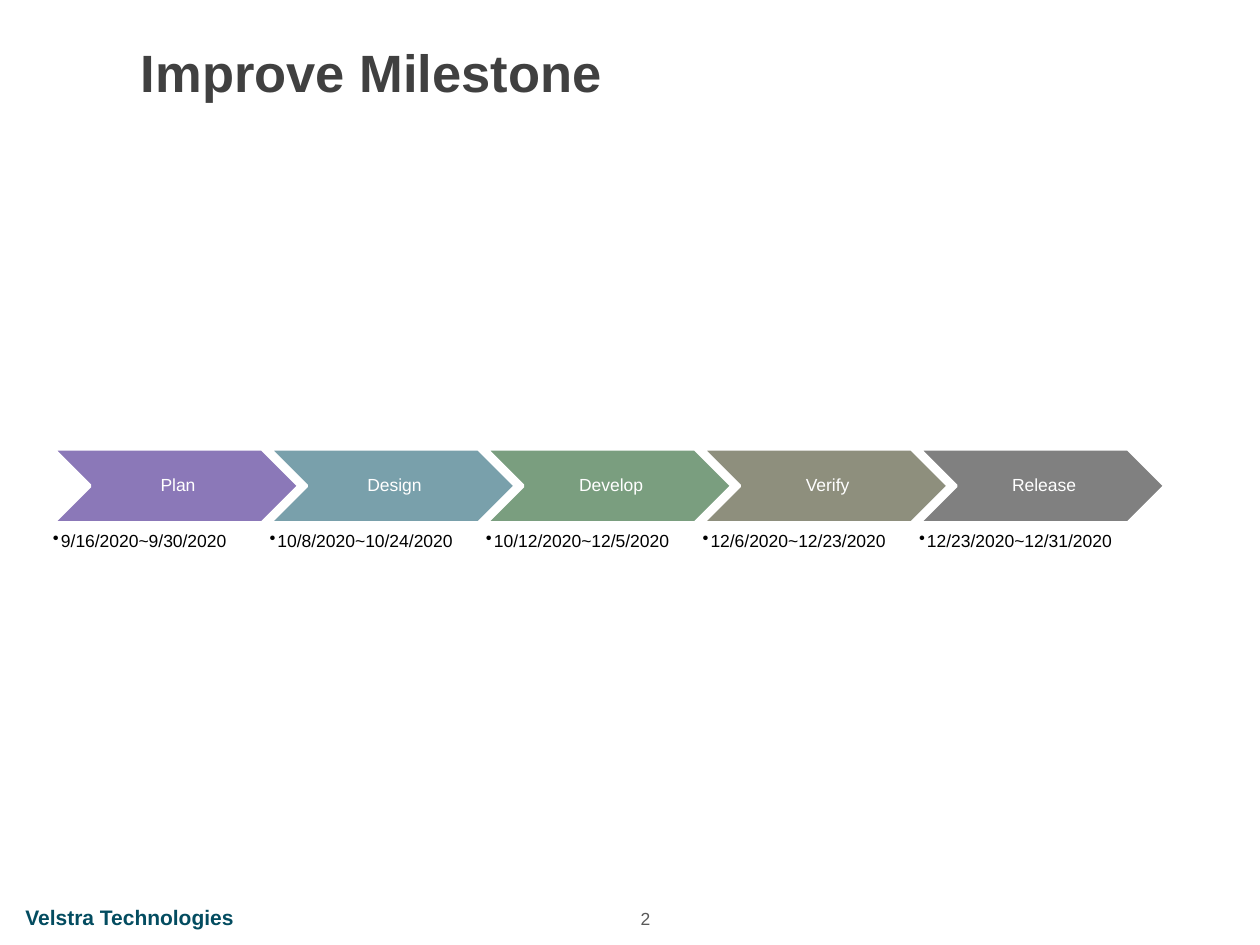
import pptx
import pptx.util
import pptx.dml.color
import pptx.enum.shapes
import pptx.enum.text
import pptx.oxml.ns
import lxml.etree

PX = 914400 / 126

THEME = {
    "font": "Arial",
    "title": (30, "404040", True),
    "footer": (12, "034C60", True),
    "number": (10, "595959", False),
    "phase": (10, "FFFFFF", False),
    "dates": (10, "000000", False),
    "outline": "FFFFFF",
}

PHASES = [
    ("Plan", "9/16/2020~9/30/2020", "8B78B8"),
    ("Design", "10/8/2020~10/24/2020", "79A0AB"),
    ("Develop", "10/12/2020~12/5/2020", "7A9E7F"),
    ("Verify", "12/6/2020~12/23/2020", "8E8F7D"),
    ("Release", "12/23/2020~12/31/2020", "808080"),
]
FIRST_LEFT, LAST_LEFT = 53, 919
ALIGN = pptx.enum.text.PP_ALIGN


def px(value):
    return pptx.util.Emu(round(value * PX))


def write(shape, text, style, align=ALIGN.LEFT, margins=None, wrap=True):
    """Fill a shape with one styled paragraph; margins are left, top, right, bottom."""
    size, color, bold = THEME[style]
    frame = shape.text_frame
    frame.text = text
    frame.word_wrap = wrap
    if margins:
        (frame.margin_left, frame.margin_top,
         frame.margin_right, frame.margin_bottom) = map(px, margins)
    paragraph = frame.paragraphs[0]
    paragraph.alignment = align
    font = paragraph.runs[0].font
    font.name = THEME["font"]
    font.size = pptx.util.Pt(size)
    font.bold = bold
    font.color.rgb = pptx.dml.color.RGBColor.from_string(color)
    return paragraph


presentation = pptx.Presentation()
presentation.slide_width = px(1260)
presentation.slide_height = px(945)
slide = presentation.slides.add_slide(presentation.slide_layouts[6])
shapes = slide.shapes

footer = shapes.add_textbox(px(13), px(898), px(252), px(38))
write(footer, "Velstra Technologies", "footer", wrap=False)

title = shapes.add_textbox(px(141), px(35), px(1092), px(77))
write(title, "Improve Milestone", "title", margins=(0, 5, 0, 0))

number = shapes.add_textbox(px(609), px(902), px(73), px(53))
write(number, "2", "number", ALIGN.CENTER)

for index, (phase, dates, color) in enumerate(PHASES):
    left = FIRST_LEFT + index * (LAST_LEFT - FIRST_LEFT) / (len(PHASES) - 1)

    chevron = shapes.add_shape(pptx.enum.shapes.MSO_SHAPE.CHEVRON,
                               px(left), px(449), px(246), px(74))
    chevron.shadow.inherit = False
    chevron.fill.solid()
    chevron.fill.fore_color.rgb = pptx.dml.color.RGBColor.from_string(color)
    chevron.line.color.rgb = pptx.dml.color.RGBColor.from_string(THEME["outline"])
    chevron.line.width = pptx.util.Pt(2)
    chevron.text_frame.vertical_anchor = pptx.enum.text.MSO_ANCHOR.MIDDLE
    paragraph = write(chevron, phase, "phase", ALIGN.CENTER, (5, 1, 1, 1))
    paragraph.line_spacing = 0.9

    date_box = shapes.add_textbox(px(left), px(532), px(197), px(25))
    paragraph = write(date_box, dates, "dates", margins=(0, 0, 0, 0))
    paragraph.line_spacing = 0.9
    properties = paragraph._p.get_or_add_pPr()
    properties.set("marL", str(px(8)))
    properties.set("indent", str(px(-8)))
    bullet = lxml.etree.SubElement(properties, pptx.oxml.ns.qn("a:buChar"))
    bullet.set("char", "•")

presentation.save("out.pptx")
